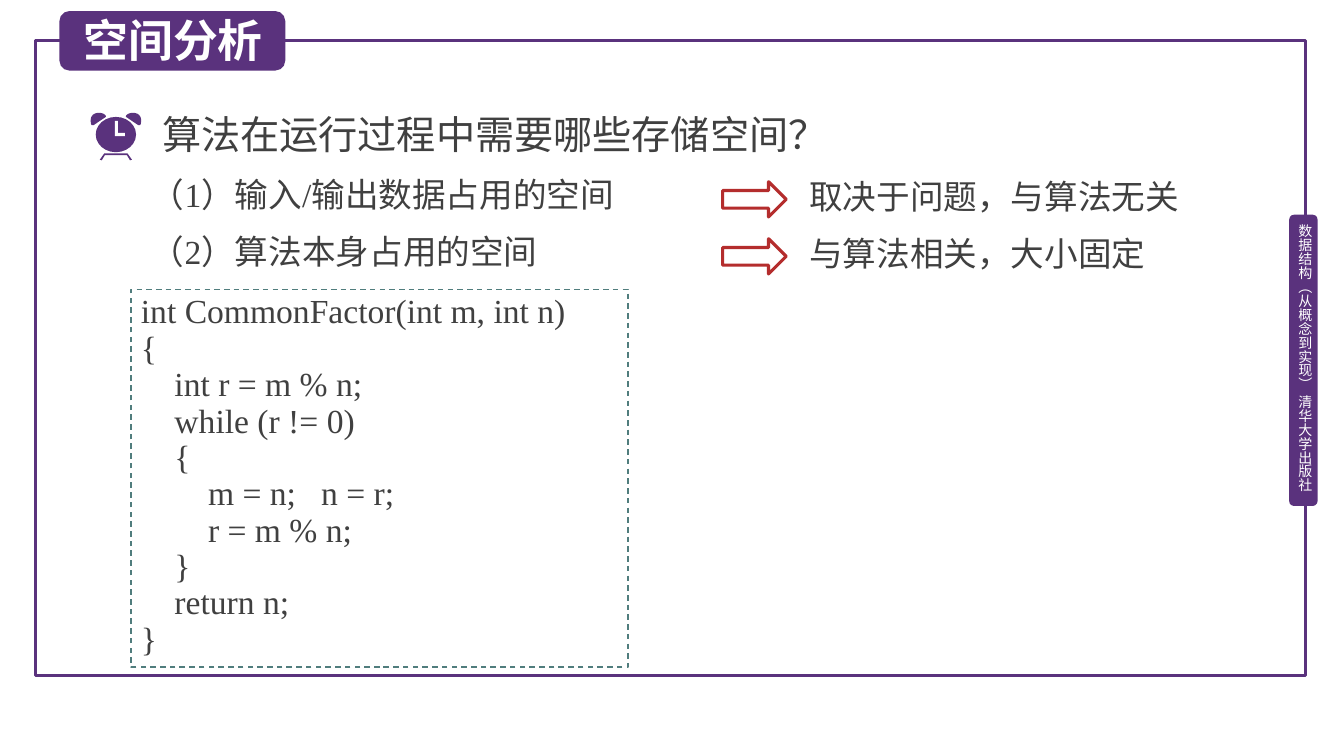
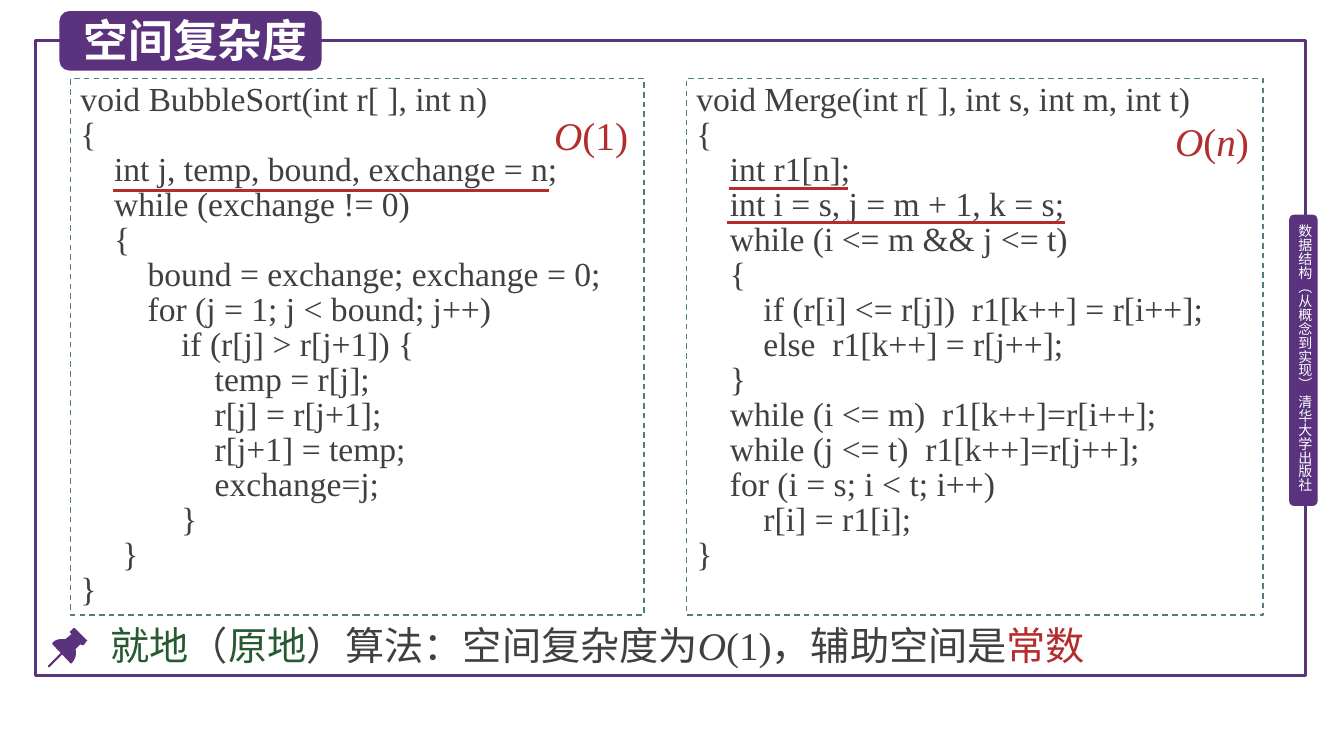
from dataclasses import dataclass

from lxml import etree
from pptx import Presentation
from pptx.dml.color import RGBColor
from pptx.enum.dml import MSO_LINE
from pptx.enum.shapes import MSO_CONNECTOR, MSO_SHAPE
from pptx.enum.text import MSO_ANCHOR, PP_ALIGN
from pptx.oxml.ns import qn
from pptx.util import Pt

RECTANGLE = MSO_SHAPE.RECTANGLE
ROUNDED = MSO_SHAPE.ROUNDED_RECTANGLE
ARROW = MSO_SHAPE.RIGHT_ARROW
OVAL = MSO_SHAPE.OVAL
STRAIGHT = MSO_CONNECTOR.STRAIGHT
TOP, MIDDLE = MSO_ANCHOR.TOP, MSO_ANCHOR.MIDDLE
LEFT = PP_ALIGN.LEFT
DASH = MSO_LINE.DASH

PURPLE, RED, GREEN = "5A327D", "B42D2D", "285A32"
TEAL, GRAY, WHITE = "507D7D", "404040", "FFFFFF"
SANS, SERIF = "Noto Sans CJK SC", "Times New Roman"


@dataclass(frozen=True)
class Box:
    left: float
    top: float
    width: float
    height: float


@dataclass(frozen=True)
class Words:
    text: str
    size: float = 24
    color: str = GRAY
    font: str = SERIF
    bold: bool = False
    italic: bool = False


@dataclass(frozen=True)
class SpaceItem:
    text: str
    note: str


@dataclass(frozen=True)
class CodePanel:
    box: Box
    spacing: float
    code: str


@dataclass(frozen=True)
class Rule:
    left: float
    right: float
    top: float


SPACE_ITEMS = [
    SpaceItem("（1）输入/输出数据占用的空间", "取决于问题，与算法无关"),
    SpaceItem("（2）算法本身占用的空间", "与算法相关，大小固定"),
]

FACTOR_PANEL = CodePanel(Box(93.6, 206.6, 355, 270), 26, """\
int CommonFactor(int m, int n)
{
    int r = m % n;
    while (r != 0)
    {
        m = n;   n = r;
        r = m % n;
    }
    return n;
}""")

BUBBLE_PANEL = CodePanel(Box(50.4, 56.2, 409.7, 383), 25, """\
void BubbleSort(int r[ ], int n)
{
    int j, temp, bound, exchange = n;
    while (exchange != 0)
    {
        bound = exchange; exchange = 0;
        for (j = 1; j < bound; j++)
            if (r[j] > r[j+1]) {
                temp = r[j];
                r[j] = r[j+1];
                r[j+1] = temp;
                exchange=j;
            }
     }
}""")

MERGE_PANEL = CodePanel(Box(490.3, 56.2, 411.8, 383), 25, """\
void Merge(int r[ ], int s, int m, int t)
{
    int r1[n];
    int i = s, j = m + 1, k = s;
    while (i <= m && j <= t)
    {
        if (r[i] <= r[j])  r1[k++] = r[i++];
        else  r1[k++] = r[j++];
    }
    while (i <= m)  r1[k++]=r[i++];
    while (j <= t)  r1[k++]=r[j++];
    for (i = s; i < t; i++)
        r[i] = r1[i];
}""")

UNDERLINES = [Rule(80.6, 392.4, 136.1), Rule(520.6, 605.5, 134.6), Rule(519.1, 761, 159.1)]

CLOCK_CENTER = 82.8
CLOCK_EAR = [
    ((70.6, 80.6),), ((67, 80.6), (64.8, 82.8), (64.8, 85.7)),
    ((64.8, 87.1), (64.8, 88.6), (65.5, 89.3)), ((67, 89.3),), ((75.6, 83.5),),
    ((75.6, 82.8),), ((74.9, 81.4), (72.7, 80.6), (70.6, 80.6)),
]
CLOCK_FEET = [((x, y),) for x, y in (
    (71.3, 114.1), (74.5, 109.6), (91.1, 109.6), (94.3, 114.1),
    (92.9, 114.5), (90.7, 110.9), (74.9, 110.9), (72.7, 114.5))]
CLOCK_HANDS = [((x, y),) for x, y in (
    (82.1, 86.4), (84.2, 86.4), (84.2, 95), (89.2, 95), (89.2, 97.2), (82.1, 97.2))]
PIN_HEAD = [
    ((61.9, 457.2),), ((53.3, 448.6),), ((52.6, 448.6),), ((49.7, 451.4),), ((51.1, 452.9),),
    ((46.8, 456.5),), ((46.1, 456.5), (45.4, 456.5), (43.9, 456.5)),
    ((41.8, 456.5), (38.9, 457.2), (37.4, 459.4)), ((37.4, 460.1),), ((50.4, 473.8),),
    ((51.1, 473.8),), ((54, 470.9), (54.7, 467.3), (54, 463.7)), ((57.6, 460.1),),
    ((58.3, 460.8),), ((59.8, 460.8),), ((61.9, 457.9),), ((62.6, 457.2),),
]
PIN_NEEDLE = [((x, y),) for x, y in (
    (35.3, 476.6), (34.6, 476.6), (34.2, 476), (34.6, 475.2),
    (43.9, 465.8), (44.6, 465.8), (45, 466.5), (44.6, 467.3))]


def rgb(value: str) -> RGBColor:
    return RGBColor.from_string(value)


def apply(target, values: dict) -> None:
    for name, value in values.items():
        setattr(target, name, value)


def measures(box: Box) -> tuple:
    return Pt(box.left), Pt(box.top), Pt(box.width), Pt(box.height)


def paint(shape, fill: str = "", line: str = "", weight: float = 2.25) -> None:
    shape.shadow.inherit = False
    if fill:
        shape.fill.solid()
        shape.fill.fore_color.rgb = rgb(fill)
    else:
        shape.fill.background()
    if line:
        shape.line.color.rgb = rgb(line)
        shape.line.width = Pt(weight)
    else:
        shape.line.fill.background()


def add_box(slide, kind, box: Box, **style):
    shape = slide.shapes.add_shape(kind, *measures(box))
    paint(shape, **style)
    return shape


def write(shape, paragraphs: list[list[Words]], spacing: float = 0, anchor=TOP) -> None:
    frame = shape.text_frame
    apply(frame, {"word_wrap": True, "vertical_anchor": anchor})
    for index, line in enumerate(paragraphs):
        paragraph = frame.add_paragraph() if index else frame.paragraphs[0]
        paragraph.alignment = LEFT
        if spacing:
            paragraph.line_spacing = Pt(spacing)
        for words in line:
            run = paragraph.add_run()
            run.text = words.text
            apply(run.font, {"size": Pt(words.size), "bold": words.bold,
                             "italic": words.italic, "name": words.font})
            run.font.color.rgb = rgb(words.color)
            east_asian = etree.SubElement(run.font._element, qn("a:ea"))
            east_asian.set("typeface", SANS)


def add_text(slide, box: Box, line: list[Words], **layout) -> None:
    write(slide.shapes.add_textbox(*measures(box)), [line], **layout)


def add_code(slide, panel: CodePanel) -> None:
    shape = add_box(slide, RECTANGLE, panel.box, line=TEAL, weight=1)
    shape.line.dash_style = DASH
    write(shape, [[Words(line)] for line in panel.code.split("\n")], panel.spacing)


def add_outline(slide, segments: list, color: str = PURPLE) -> None:
    """Draw a filled outline; a segment is a corner or the last three points of a Bézier curve."""
    points = [segments[0][0]]
    for segment in segments[1:]:
        if len(segment) == 1:
            points.append(segment[0])
            continue
        corners = (points[-1], *segment)
        for step in range(1, 9):
            t = step / 8
            weights = ((1 - t) ** 3, 3 * t * (1 - t) ** 2, 3 * t * t * (1 - t), t ** 3)
            points.append(tuple(sum(w * corner[axis] for w, corner in zip(weights, corners))
                                for axis in (0, 1)))
    vertices = [(Pt(x), Pt(y)) for x, y in points]
    builder = slide.shapes.build_freeform(*vertices[0], scale=1.0)
    builder.add_line_segments(vertices[1:], close=True)
    paint(builder.convert_to_shape(), fill=color)


def add_clock(slide) -> None:
    mirrored_ear = [tuple((2 * CLOCK_CENTER - x, y) for x, y in segment) for segment in CLOCK_EAR]
    for outline in (CLOCK_FEET, CLOCK_EAR, mirrored_ear):
        add_outline(slide, outline)
    add_box(slide, OVAL, Box(68.4, 83.5, 28.8, 25.2), fill=PURPLE)
    add_outline(slide, CLOCK_HANDS, WHITE)


def add_underline(slide, rule: Rule) -> None:
    connector = slide.shapes.add_connector(
        STRAIGHT, Pt(rule.left), Pt(rule.top), Pt(rule.right), Pt(rule.top))
    connector.line.color.rgb = rgb(RED)
    connector.line.width = Pt(2.25)
    etree.SubElement(connector._element.spPr, qn("a:effectLst"))


def add_framed_slide(presentation, title: str, tab_width: float):
    slide = presentation.slides.add_slide(presentation.slide_layouts[6])
    add_box(slide, RECTANGLE, Box(25.2, 28.8, 907.2, 453.6), line=PURPLE)
    side_tab = add_box(slide, ROUNDED, Box(920.9, 153.4, 20.2, 208), fill=PURPLE)
    apply(side_tab.text_frame, {"margin_left": Pt(5.8), "margin_top": Pt(5.8),
                                "margin_right": Pt(2), "margin_bottom": Pt(0)})
    side_tab.text_frame._txBody.bodyPr.set("vert", "eaVert")
    write(side_tab, [[Words("数据结构（从概念到实现） 清华大学出版社", 10, WHITE, SANS)]])
    title_tab = add_box(slide, ROUNDED, Box(42.5, 7.9, tab_width, 42.5), fill=PURPLE)
    apply(title_tab.text_frame, {"margin_left": Pt(15.1), "margin_right": Pt(0),
                                 "margin_top": Pt(0), "margin_bottom": Pt(2)})
    write(title_tab, [[Words(title, 32, WHITE, SANS, bold=True)]], anchor=MIDDLE)
    return slide


def build_analysis(presentation) -> None:
    slide = add_framed_slide(presentation, "空间分析", 161.3)
    add_clock(slide)
    add_text(slide, Box(108.7, 75.6, 522.7, 41),
             [Words("算法在运行过程中需要哪些存储空间？", 28, font=SANS)])
    for index, item in enumerate(SPACE_ITEMS):
        top = 121 + 40.7 * index
        add_text(slide, Box(100.8, top, 410, 36.7), [Words(item.text)])
        add_box(slide, ARROW, Box(516.2, top + 8.8, 45.4, 25.2), line=RED)
        add_text(slide, Box(571, top + 0.8, 285, 36.7), [Words(item.note, font=SANS)])
    add_code(slide, FACTOR_PANEL)


def build_complexity(presentation) -> None:
    slide = add_framed_slide(presentation, "空间复杂度", 187.2)
    for panel in (BUBBLE_PANEL, MERGE_PANEL):
        add_code(slide, panel)
    order = Words("O", 28, RED, italic=True)
    add_text(slide, Box(388.8, 74.9, 69.8, 51.1), [order, Words("(1)", 28, RED)],
             spacing=25, anchor=MIDDLE)
    add_text(slide, Box(832.3, 74.9, 69.8, 60.5),
             [order, Words("(", 28, RED), Words("n", 28, RED, italic=True), Words(")", 28, RED)],
             spacing=25, anchor=MIDDLE)
    for rule in UNDERLINES:
        add_underline(slide, rule)
    add_text(slide, Box(72, 440.6, 751.7, 41), [
        Words("就地", 28, GREEN), Words("（", 28), Words("原地", 28, GREEN),
        Words("）算法：空间复杂度为", 28), Words("O", 28, italic=True),
        Words("(1)，辅助空间是", 28), Words("常数", 28, RED)])
    for outline in (PIN_HEAD, PIN_NEEDLE):
        add_outline(slide, outline)


def main() -> None:
    presentation = Presentation()
    apply(presentation, {"slide_width": Pt(960), "slide_height": Pt(540)})
    build_analysis(presentation)
    build_complexity(presentation)
    presentation.save("out.pptx")


if __name__ == "__main__":
    main()
